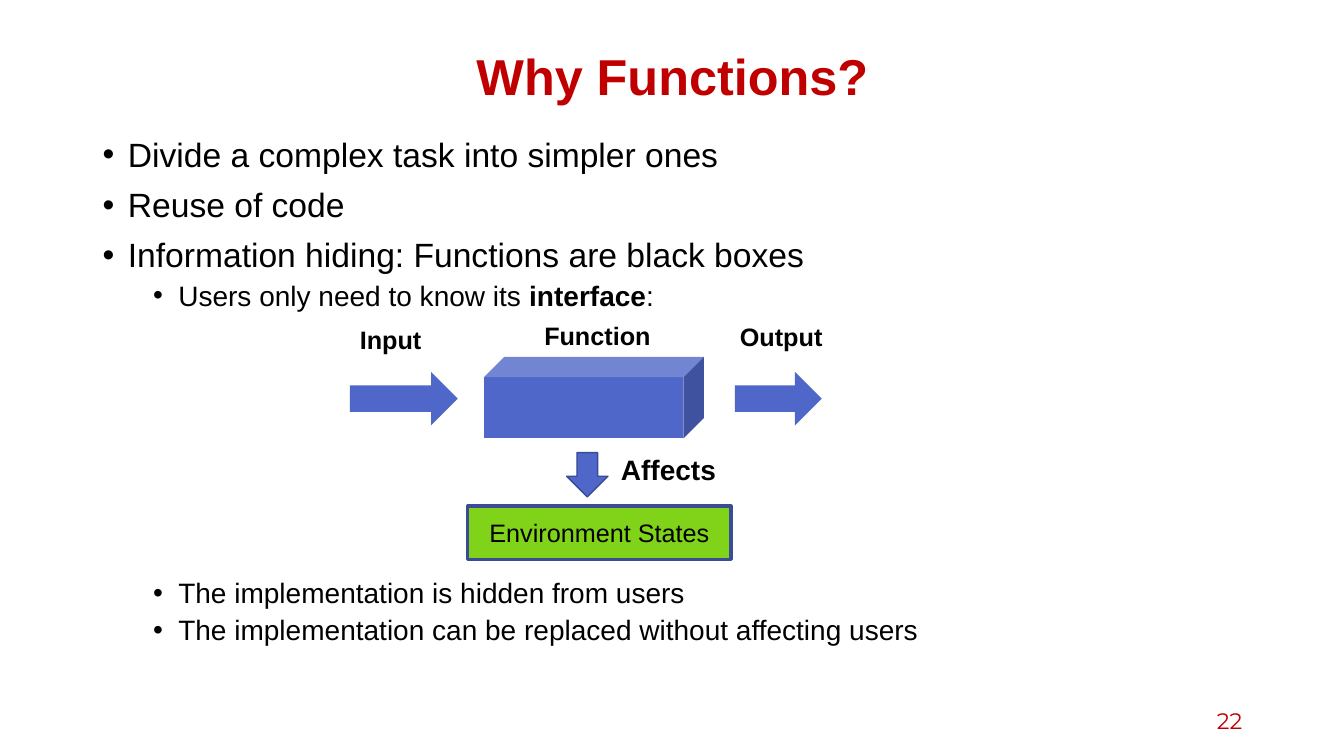
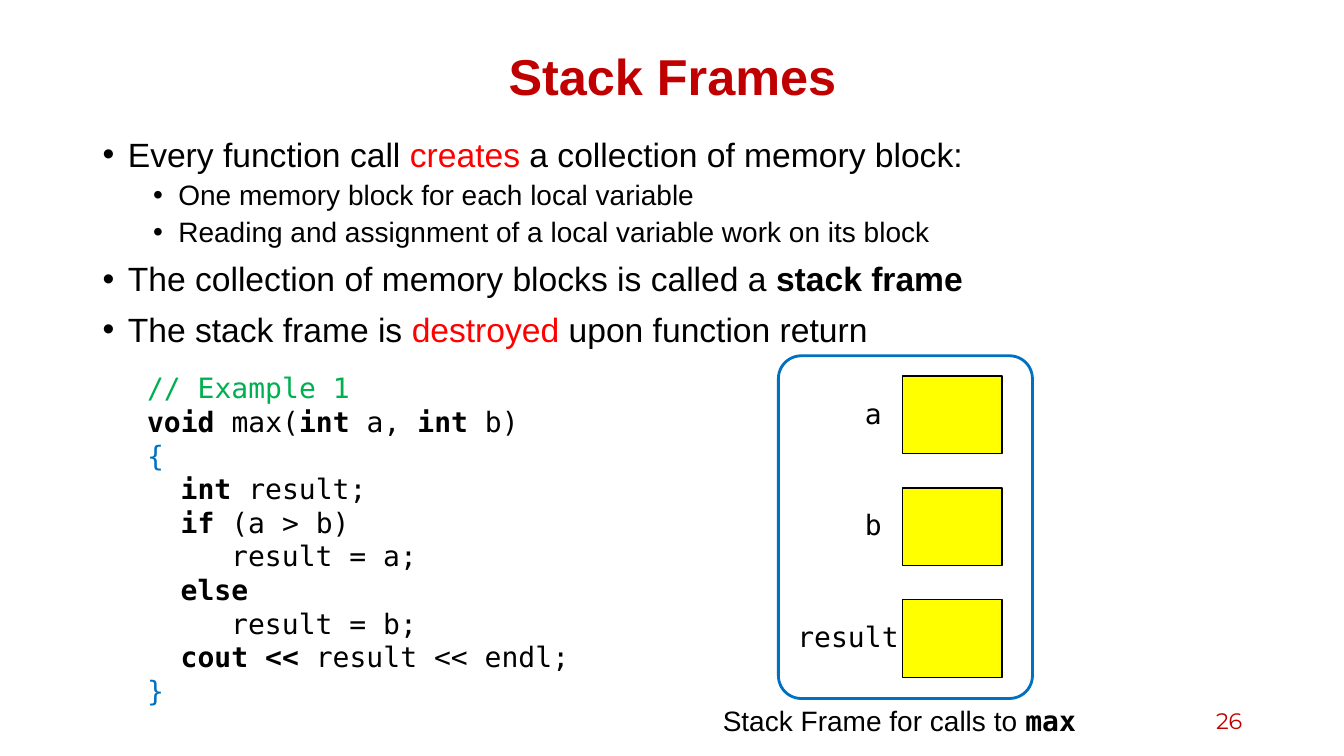
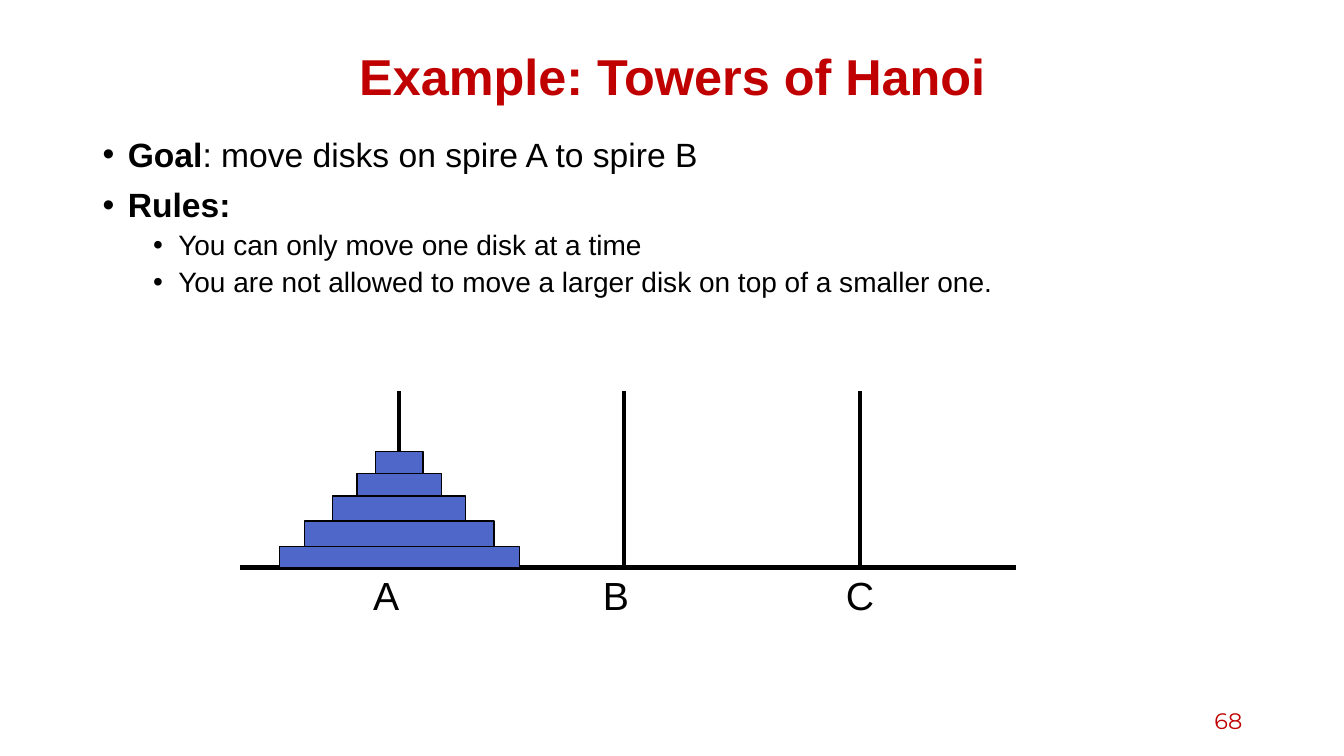
import lxml.etree
import pptx
import pptx.dml.color
import pptx.enum.shapes
import pptx.enum.text
import pptx.oxml.ns
import pptx.util

Inches, Pt = pptx.util.Inches, pptx.util.Pt
SHAPE = pptx.enum.shapes.MSO_SHAPE
ALIGN = pptx.enum.text.PP_ALIGN
ANCHOR = pptx.enum.text.MSO_ANCHOR
qn = pptx.oxml.ns.qn

BLACK, DARK_RED, RED, GREEN = "000000", "C00000", "FF0000", "00B050"
BLUE, BLUE_EDGE, SKY = "4E67C8", "3A4C94", "0070C0"
LIME, YELLOW = "81D31A", "FFFF00"
SANS = {"name": "Arial", "color": BLACK}
MONO = {"name": "DejaVu Sans Mono", "size": Pt(20), "color": BLACK}
TITLE = {**SANS, "size": Pt(36), "bold": True, "color": DARK_RED}
PAGE_NUMBER = {"name": "Montserrat", "size": Pt(16), "color": DARK_RED}
LABEL = {**SANS, "size": Pt(18), "bold": True}
BOLD = {"bold": True}
# size, left margin and space before of each bullet level
LEVELS = [(24, 0.25, 10), (20, 0.75, 5)]


def rgb(colour):
    return pptx.dml.color.RGBColor.from_string(colour)


def add_runs(paragraph, pieces, base):
    """Each piece is a string, or a (string, changed format) pair."""
    for piece in [pieces] if isinstance(pieces, str) else pieces:
        text, changes = (piece, {}) if isinstance(piece, str) else piece
        run = paragraph.add_run()
        run.text = text
        for key, value in {**base, **changes}.items():
            if key == "color":
                run.font.color.rgb = rgb(value)
            else:
                setattr(run.font, key, value)


def add_box(slide, left, top, width, height, anchor=ANCHOR.TOP):
    box = slide.shapes.add_textbox(*map(Inches, (left, top, width, height)))
    box.text_frame.word_wrap = True
    box.text_frame.vertical_anchor = anchor
    return box.text_frame


def add_text(slide, left, top, width, height, pieces, style,
             align=ALIGN.LEFT, anchor=ANCHOR.TOP):
    paragraph = add_box(slide, left, top, width, height, anchor).paragraphs[0]
    paragraph.alignment = align
    add_runs(paragraph, pieces, style)


def add_paragraphs(frame, count):
    return [frame.paragraphs[0]] + [frame.add_paragraph() for _ in range(count - 1)]


def add_bullets(slide, items):
    """Each item is (level, pieces) with an optional gap above in points."""
    frame = add_box(slide, 0.92, 1.32, 11.5, 5.51)
    for paragraph, (level, pieces, *gap) in zip(add_paragraphs(frame, len(items)), items):
        size, margin, before = LEVELS[level]
        paragraph.level = level
        paragraph.line_spacing = 0.9
        paragraph.space_before = Pt(before + sum(gap))
        properties = paragraph._p.get_or_add_pPr()
        properties.set("marL", str(Inches(margin)))
        properties.set("indent", str(Inches(-0.25)))
        lxml.etree.SubElement(properties, qn("a:buFont"), typeface="Arial")
        lxml.etree.SubElement(properties, qn("a:buChar"), char="•")
        add_runs(paragraph, pieces, {**SANS, "size": Pt(size)})


def add_shape(slide, kind, left, top, width, height, fill=None, line=None, weight=1):
    shape = slide.shapes.add_shape(kind, *map(Inches, (left, top, width, height)))
    shape.shadow.inherit = False
    for part, colour in ((shape.fill, fill), (shape.line.fill, line)):
        if colour:
            part.solid()
            part.fore_color.rgb = rgb(colour)
        else:
            part.background()
    if line:
        shape.line.width = Pt(weight)
    return shape


def add_line(slide, *ends):
    line = slide.shapes.add_connector(
        pptx.enum.shapes.MSO_CONNECTOR.STRAIGHT, *map(Inches, ends))
    line.line.color.rgb = rgb(BLACK)
    line.line.width = Pt(3)
    lxml.etree.SubElement(line._element.spPr, qn("a:effectLst"))


def add_slide(deck, title, number, bullets):
    slide = deck.slides.add_slide(deck.slide_layouts[6])
    add_text(slide, 0.92, 0.4, 11.5, 0.7, title, TITLE, ALIGN.CENTER, ANCHOR.MIDDLE)
    add_bullets(slide, bullets)
    add_text(slide, 9.42, 6.95, 3, 0.4, str(number), PAGE_NUMBER,
             ALIGN.RIGHT, ANCHOR.MIDDLE)
    return slide


def draw_black_box(slide, left, top):
    """Function as a box between input, output and environment."""
    add_shape(slide, SHAPE.CUBE, left + 1.33, top + 0.41, 2.18, 0.81, BLUE)
    for x, width in ((0, 1.07), (3.82, 0.86)):
        add_shape(slide, SHAPE.RIGHT_ARROW, left + x, top + 0.56, width, 0.53, BLUE)
    for x, y, width, name in ((0, 0.04, 1.22, "Input"), (1.83, 0, 1.47, "Function"),
                              (3.77, 0.01, 1.22, "Output")):
        add_text(slide, left + x, top + y, width, 0.4, name, LABEL)
    add_shape(slide, SHAPE.DOWN_ARROW, left + 2.15, top + 1.36, 0.41, 0.44,
              BLUE, BLUE_EDGE)
    add_text(slide, left + 2.59, top + 1.31, 1.95, 0.44, "Affects",
             {**LABEL, "size": Pt(20)})
    states = add_shape(slide, SHAPE.RECTANGLE, left + 1.17, top + 1.89, 2.61, 0.53,
                       LIME, BLUE_EDGE, 2.25).text_frame
    states.vertical_anchor = ANCHOR.MIDDLE
    states.paragraphs[0].alignment = ALIGN.CENTER
    add_runs(states.paragraphs[0], "Environment States", {**LABEL, "bold": False})


def draw_code(slide, left, top, lines):
    """Each line is (indent in characters, pieces)."""
    character = 0.167
    frame = add_box(slide, left, top, 5.42, 3.47)
    for paragraph, (indent, pieces) in zip(add_paragraphs(frame, len(lines)), lines):
        paragraph._p.get_or_add_pPr().set("marL", str(Inches(indent * character)))
        add_runs(paragraph, pieces, MONO)


def draw_stack_frame(slide, left, top, variables):
    """Each variable is (name, label offset, label width)."""
    outline = add_shape(slide, SHAPE.ROUNDED_RECTANGLE, left, top, 2.52, 3.4,
                        line=SKY, weight=2)
    outline.adjustments[0] = 0.09
    for row, (name, offset, width) in enumerate(variables):
        y = top + 0.2 + row * 1.11
        add_shape(slide, SHAPE.RECTANGLE, left + 1.23, y, 0.99, 0.77, YELLOW, BLACK)
        add_text(slide, left + offset, y + 0.15, width, 0.44, name, MONO)
    add_text(slide, left - 0.65, top + 3.4, 3.81, 0.44,
             ["Stack Frame for calls to ", ("max", {**MONO, **BOLD})],
             {**SANS, "size": Pt(20)})


def draw_towers(slide, left, top):
    spire_height = 1.75
    base = top + spire_height
    spires = [left + x for x in (1.58, 3.81, 6.15)]
    add_line(slide, left, base, left + 7.7, base)
    for x in spires:
        add_line(slide, x, top, x, base)
    disk_top = base
    for width, height in ((2.38, 0.21), (1.88, 0.25), (1.32, 0.25),
                          (0.84, 0.22), (0.47, 0.22)):
        disk_top -= height
        add_shape(slide, SHAPE.RECTANGLE, spires[0] - width / 2, disk_top,
                  width, height, BLUE, BLACK)
    for name, x, shift in zip("ABC", spires, (-0.13, -0.08, 0)):
        add_text(slide, x + shift - 0.4, base - 0.01, 0.8, 0.57, name,
                 {**SANS, "size": Pt(28)}, ALIGN.CENTER)


def functions_slide(deck):
    slide = add_slide(deck, "Why Functions?", 22, [
        (0, "Divide a complex task into simpler ones"),
        (0, "Reuse of code"),
        (0, "Information hiding: Functions are black boxes"),
        (1, ["Users only need to know its ", ("interface", BOLD), ":"]),
        (1, "The implementation is hidden from users", 186),
        (1, "The implementation can be replaced without affecting users"),
    ])
    draw_black_box(slide, 3.47, 3.13)


def stack_slide(deck):
    slide = add_slide(deck, "Stack Frames", 26, [
        (0, ["Every function call ", ("creates", {"color": RED}),
             " a collection of memory block:"]),
        (1, "One memory block for each local variable"),
        (1, "Reading and assignment of a local variable work on its block"),
        (0, ["The collection of memory blocks is called a ", ("stack frame", BOLD)]),
        (0, ["The stack frame is ", ("destroyed", {"color": RED}),
             " upon function return"]),
    ])
    draw_code(slide, 1.36, 3.63, [
        (0, [("// Example 1", {"color": GREEN})]),
        (0, [("void", BOLD), " max(", ("int", BOLD), " a, ", ("int", BOLD), " b)"]),
        (0, [("{", {"color": SKY})]),
        (2, [("int", BOLD), " result;"]),
        (2, [("if", BOLD), " (a > b)"]),
        (5, "result = a;"),
        (2, [("else", BOLD)]),
        (5, "result = b;"),
        (2, [("cout <<", BOLD), " result << endl;"]),
        (0, [("}", {"color": SKY})]),
    ])
    draw_stack_frame(slide, 7.72, 3.53, [
        ("a", 0.76, 0.58), ("b", 0.76, 0.58), ("result", 0.09, 1.25)])


def hanoi_slide(deck):
    slide = add_slide(deck, "Example: Towers of Hanoi", 68, [
        (0, [("Goal", BOLD), ": move disks on spire A to spire B"]),
        (0, [("Rules:", BOLD)]),
        (1, "You can only move one disk at a time"),
        (1, "You are not allowed to move a larger disk on top of a smaller one."),
    ])
    draw_towers(slide, 2.38, 3.88)


def main():
    deck = pptx.Presentation()
    deck.slide_width, deck.slide_height = Inches(13.33), Inches(7.5)
    for build in (functions_slide, stack_slide, hanoi_slide):
        build(deck)
    deck.save("out.pptx")


if __name__ == "__main__":
    main()
